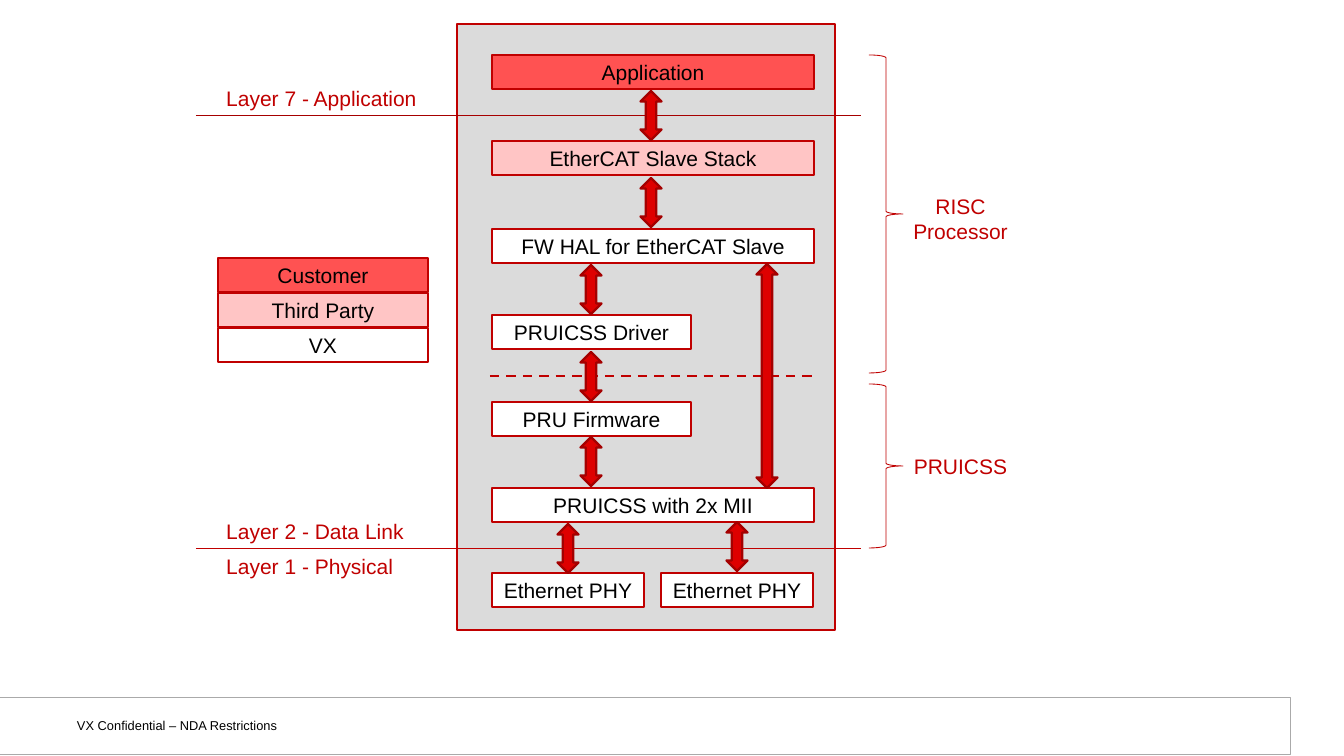
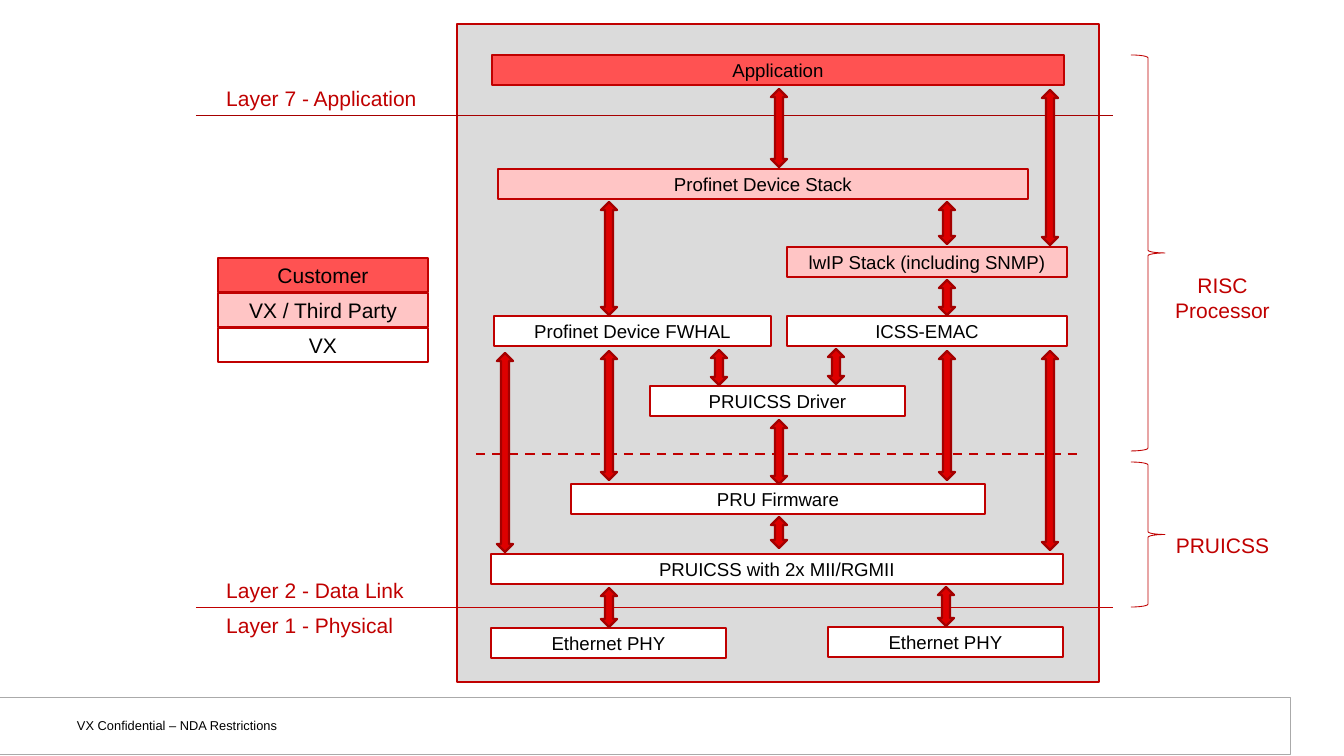
from lxml.etree import SubElement
from pptx import Presentation
from pptx.dml.color import RGBColor
from pptx.enum.dml import MSO_LINE
from pptx.enum.shapes import MSO_CONNECTOR, MSO_SHAPE
from pptx.enum.text import MSO_ANCHOR, PP_ALIGN
from pptx.oxml.ns import qn
from pptx.util import Pt

SCALE = 914400 / 84
FONT = "Arial"
BLACK = RGBColor(0x00, 0x00, 0x00)
WHITE = RGBColor(0xFF, 0xFF, 0xFF)
GREY = RGBColor(0xDB, 0xDB, 0xDB)
FOOTER_LINE = RGBColor(0xAA, 0xAA, 0xAA)
RED = RGBColor(0xC0, 0x00, 0x00)
DARK_RED = RGBColor(0xA6, 0x00, 0x00)
ARROW_FILL = RGBColor(0xDE, 0x00, 0x00)
ARROW_LINE = RGBColor(0xA4, 0x00, 0x00)
CUSTOMER = RGBColor(0xFF, 0x52, 0x52)
THIRD_PARTY = RGBColor(0xFF, 0xC5, 0xC5)
VENDOR = WHITE

FOOTER = "VX Confidential – NDA Restrictions"
FRAME_LEFT, FRAME_TOP = 457, 24
LAYER_LEFT, APPLICATION_LAYER = 196, 115
LABEL_LEFT, LABEL_WIDTH, LABEL_HEIGHT = 218, 210, 34
LEGEND_TOP, LEGEND_STEP = 258, 35
BRACE_WIDTH = 34

ETHERCAT = {
    "frame": (378, 606),
    "layer_right": 861,
    "physical_layer": 548,
    "divider": (490, 814, 376),
    "legend": ("Customer", "Third Party", "VX"),
    "box_height": 34,
    "text_size": 18,
    "boxes": [
        ("Application", 492, 55, 322, CUSTOMER),
        ("EtherCAT Slave Stack", 492, 141, 322, THIRD_PARTY),
        ("FW HAL for EtherCAT Slave", 492, 229, 322, VENDOR),
        ("PRUICSS Driver", 492, 315, 199, VENDOR),
        ("PRU Firmware", 492, 402, 199, VENDOR),
        ("PRUICSS with 2x MII", 492, 488, 322, VENDOR),
        ("Ethernet PHY", 492, 573, 152, VENDOR),
        ("Ethernet PHY", 661, 573, 152, VENDOR),
    ],
    "arrow_width": 21,
    "arrows": [
        (651, 91, 49), (651, 178, 49), (591, 265, 49), (591, 352, 49),
        (591, 437, 49), (568, 524, 49), (737, 522, 49), (767, 264, 224),
    ],
    "braces": [
        (("RISC", "Processor"), 869, 55, 318, 189, 59),
        (("PRUICSS",), 869, 384, 164, 449, 34),
    ],
}

PROFINET = {
    "frame": (642, 658),
    "layer_right": 1113,
    "physical_layer": 607,
    "divider": (476, 1077, 454),
    "legend": ("Customer", "VX / Third Party", "VX"),
    "box_height": 30,
    "text_size": 16,
    "boxes": [
        ("Application", 492, 55, 572, CUSTOMER),
        ("Profinet Device Stack", 498, 169, 530, THIRD_PARTY),
        ("lwIP Stack (including SNMP)", 787, 247, 280, THIRD_PARTY),
        ("Profinet Device FWHAL", 494, 316, 277, VENDOR),
        ("ICSS-EMAC", 787, 316, 280, VENDOR),
        ("PRUICSS Driver", 650, 386, 255, VENDOR),
        ("PRU Firmware", 571, 484, 414, VENDOR),
        ("PRUICSS with 2x MII/RGMII", 491, 554, 572, VENDOR),
        ("Ethernet PHY", 491, 628, 235, VENDOR),
        ("Ethernet PHY", 828, 627, 235, VENDOR),
    ],
    "arrow_width": 16,
    "arrows": [
        (779, 89, 78), (1050, 90, 155), (609, 202, 113), (947, 202, 42),
        (947, 280, 35), (719, 350, 35), (836, 349, 35), (505, 353, 199),
        (609, 351, 129), (947, 351, 129), (1050, 351, 199), (779, 420, 64),
        (779, 517, 31), (609, 588, 39), (946, 587, 39),
    ],
    "braces": [
        (("RISC", "Processor"), 1131, 55, 396, 268, 59),
        (("PRUICSS",), 1131, 462, 145, 528, 34),
    ],
}


def px(*lengths):
    return [round(length * SCALE) for length in lengths]


def add_figure(slide, kind, area, fill, line_color, line_width):
    shape = slide.shapes.add_shape(kind, *px(*area))
    shape.shadow.inherit = False
    if fill is None:
        shape.fill.background()
    else:
        shape.fill.solid()
        shape.fill.fore_color.rgb = fill
    shape.line.color.rgb = line_color
    shape.line.width = Pt(line_width)
    return shape


def write(shape, lines, size, color, alignment):
    frame = shape.text_frame
    frame.word_wrap = True
    for index, line in enumerate(lines):
        paragraph = frame.paragraphs[0] if index == 0 else frame.add_paragraph()
        paragraph.alignment = alignment
        run = paragraph.add_run()
        run.text = line
        run.font.name = FONT
        run.font.size = Pt(size)
        run.font.color.rgb = color


def add_box(slide, text, area, fill, size):
    box = add_figure(slide, MSO_SHAPE.RECTANGLE, area, fill, RED, 2)
    box.text_frame.vertical_anchor = MSO_ANCHOR.MIDDLE
    write(box, [text], size, BLACK, PP_ALIGN.CENTER)


def add_label(slide, lines, area, alignment=PP_ALIGN.LEFT, size=18, color=RED):
    label = slide.shapes.add_textbox(*px(*area))
    write(label, lines, size, color, alignment)
    return label


def add_line(slide, left, right, top, color, width, dash=None):
    line = slide.shapes.add_connector(MSO_CONNECTOR.STRAIGHT, *px(left, top, right, top))
    line.line.color.rgb = color
    line.line.width = Pt(width)
    if dash is not None:
        line.line.dash_style = dash
    SubElement(line.element.spPr, qn("a:effectLst"))


def move_footer_to_layout(slide, layout):
    for placeholder in list(layout.placeholders):
        layout.shapes.element.remove(placeholder.element)
    band = add_figure(slide, MSO_SHAPE.RECTANGLE, (-3, 697, 1294, 57), WHITE, FOOTER_LINE, 0.75)
    notice = add_label(slide, [FOOTER], (66, 712, 310, 27), size=11, color=BLACK)
    frame = notice.text_frame
    frame.margin_left, frame.margin_top, frame.margin_right, frame.margin_bottom = px(11, 6, 11, 6)
    for shape in (band, notice):
        layout.shapes.element.append(shape.element)


def draw_stack(slide, stack):
    add_figure(slide, MSO_SHAPE.RECTANGLE, (FRAME_LEFT, FRAME_TOP, *stack["frame"]), GREY, RED, 2)

    physical = stack["physical_layer"]
    add_line(slide, LAYER_LEFT, stack["layer_right"], APPLICATION_LAYER, DARK_RED, 0.75)
    add_line(slide, LAYER_LEFT, stack["layer_right"], physical, RED, 0.75)
    for text, top in (
        ("Layer 7 - Application", APPLICATION_LAYER - LABEL_HEIGHT),
        ("Layer 2 - Data Link", physical - LABEL_HEIGHT),
        ("Layer 1 - Physical", physical + 1),
    ):
        add_label(slide, [text], (LABEL_LEFT, top, LABEL_WIDTH, LABEL_HEIGHT))

    for index, (text, fill) in enumerate(zip(stack["legend"], (CUSTOMER, THIRD_PARTY, VENDOR))):
        area = (LABEL_LEFT, LEGEND_TOP + index * LEGEND_STEP, LABEL_WIDTH, LABEL_HEIGHT)
        add_box(slide, text, area, fill, 18)

    for text, left, top, width, fill in stack["boxes"]:
        add_box(slide, text, (left, top, width, stack["box_height"]), fill, stack["text_size"])

    add_line(slide, *stack["divider"], RED, 2, MSO_LINE.DASH)
    arrow_width = stack["arrow_width"]
    for center, top, height in stack["arrows"]:
        area = (center - arrow_width / 2, top, arrow_width, height)
        add_figure(slide, MSO_SHAPE.UP_DOWN_ARROW, area, ARROW_FILL, ARROW_LINE, 2)

    for lines, left, top, height, label_top, label_height in stack["braces"]:
        area = (left, top, BRACE_WIDTH, height)
        add_figure(slide, MSO_SHAPE.RIGHT_BRACE, area, None, RED, 0.75)
        add_label(slide, lines, (left + 5, label_top, 173, label_height), PP_ALIGN.CENTER)


def main():
    presentation = Presentation()
    presentation.slide_width, presentation.slide_height = px(1344, 756)
    layout = presentation.slide_layouts[6]
    slides = [presentation.slides.add_slide(layout) for _ in range(2)]
    move_footer_to_layout(slides[0], layout)
    for slide, stack in zip(slides, (ETHERCAT, PROFINET)):
        draw_stack(slide, stack)
    presentation.save("out.pptx")


if __name__ == "__main__":
    main()
